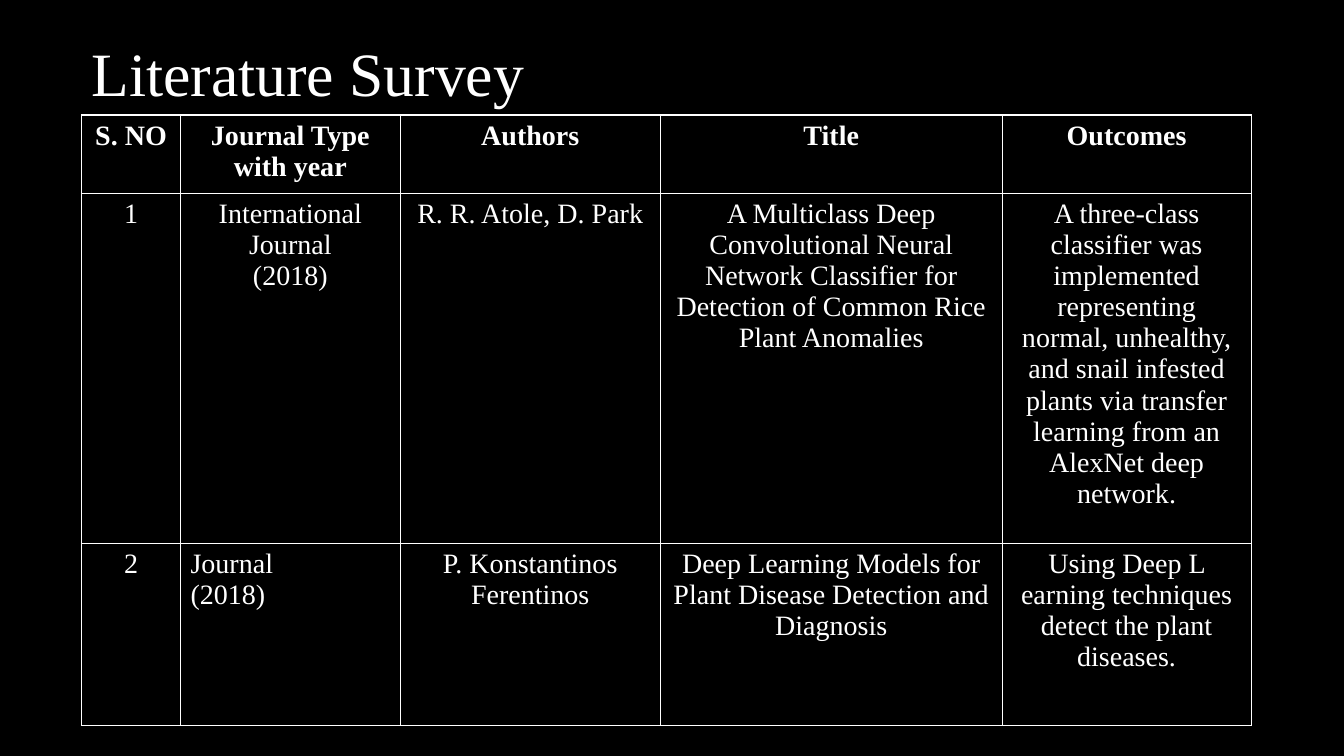
from dataclasses import dataclass

from lxml import etree
from pptx import Presentation
from pptx.dml.color import RGBColor
from pptx.enum.text import MSO_ANCHOR, PP_ALIGN
from pptx.oxml.ns import qn
from pptx.slide import Slide
from pptx.table import _Cell
from pptx.text.text import TextFrame
from pptx.util import Inches, Pt

LEFT, CENTER = PP_ALIGN.LEFT, PP_ALIGN.CENTER
MIDDLE = MSO_ANCHOR.MIDDLE
COLORS = {"background": "000000", "text": "FFFFFF", "border": "FFFFFF"}
FONT = "Times New Roman"
BORDER_WIDTH = Pt(1)
COLUMN_WIDTHS = [0.98, 2.18, 2.58, 3.39, 2.47]
HEADINGS = ["S. NO", "Journal Type with year", "Authors", "Title", "Outcomes"]
HEADING_HEIGHT = 0.78


@dataclass
class Paper:
    height: float
    journal: list[str]
    authors: str
    title: str
    outcome: str
    journal_alignment: PP_ALIGN = CENTER


PAPERS = [
    Paper(
        3.47,
        ["International Journal", "(2018)"],
        "R. R. Atole, D. Park",
        "A Multiclass Deep Convolutional Neural Network Classifier for "
        "Detection of Common Rice Plant Anomalies",
        "A three-class classifier was implemented representing normal, "
        "unhealthy, and snail infested plants via transfer learning from "
        "an AlexNet deep network.",
    ),
    Paper(
        1.81,
        ["Journal", "(2018)"],
        "P. Konstantinos Ferentinos",
        "Deep Learning Models for Plant Disease Detection and Diagnosis",
        "Using Deep L earning techniques detect the plant diseases.",
        journal_alignment=LEFT,
    ),
]


def write_text(
    frame: TextFrame,
    lines: list[str],
    *,
    size: float = 20,
    bold: bool = False,
    alignment: PP_ALIGN = CENTER,
    line_spacing: float = 1.0,
) -> None:
    """Write each line as its own paragraph."""
    frame.word_wrap = True
    for index, line in enumerate(lines):
        paragraph = frame.add_paragraph() if index else frame.paragraphs[0]
        paragraph.alignment = alignment
        paragraph.line_spacing = line_spacing
        run = paragraph.add_run()
        run.text = line
        run.font.name = FONT
        run.font.size = Pt(size)
        run.font.bold = bold
        run.font.color.rgb = RGBColor.from_string(COLORS["text"])


def style_cell(cell: _Cell) -> None:
    """Outline all four sides, then clear the fill, which must follow them."""
    properties = cell._tc.get_or_add_tcPr()
    for side in ("a:lnL", "a:lnR", "a:lnT", "a:lnB"):
        line = etree.SubElement(properties, qn(side), w=str(BORDER_WIDTH))
        fill = etree.SubElement(line, qn("a:solidFill"))
        etree.SubElement(fill, qn("a:srgbClr"), val=COLORS["border"])
    cell.fill.background()


def add_title(slide: Slide, text: str) -> None:
    box = slide.shapes.add_textbox(
        Inches(0.81), Inches(0.22), Inches(11.5), Inches(1.08)
    )
    box.text_frame.vertical_anchor = MIDDLE
    write_text(box.text_frame, [text], size=44, alignment=LEFT, line_spacing=0.9)


def add_survey_table(slide: Slide) -> None:
    heights = [HEADING_HEIGHT] + [paper.height for paper in PAPERS]
    table = slide.shapes.add_table(
        len(heights), len(HEADINGS), Inches(0.81), Inches(1.14),
        Inches(sum(COLUMN_WIDTHS)), Inches(sum(heights)),
    ).table
    table.first_row = False
    table.horz_banding = False
    for column, width in zip(table.columns, COLUMN_WIDTHS):
        column.width = Inches(width)
    for row, height in zip(table.rows, heights):
        row.height = Inches(height)
    for cell in table.iter_cells():
        style_cell(cell)

    for column, heading in enumerate(HEADINGS):
        write_text(table.cell(0, column).text_frame, [heading], bold=True)
    for number, paper in enumerate(PAPERS, start=1):
        entries = [
            ([str(number)], CENTER),
            (paper.journal, paper.journal_alignment),
            ([paper.authors], CENTER),
            ([paper.title], CENTER),
            ([paper.outcome], CENTER),
        ]
        for column, (lines, alignment) in enumerate(entries):
            frame = table.cell(number, column).text_frame
            write_text(frame, lines, alignment=alignment)


def main() -> None:
    presentation = Presentation()
    presentation.slide_width = Inches(13.33)
    presentation.slide_height = Inches(7.5)
    slide = presentation.slides.add_slide(presentation.slide_layouts[6])
    background = slide.background.fill
    background.solid()
    background.fore_color.rgb = RGBColor.from_string(COLORS["background"])
    add_title(slide, "Literature Survey")
    add_survey_table(slide)
    presentation.save("out.pptx")


if __name__ == "__main__":
    main()
